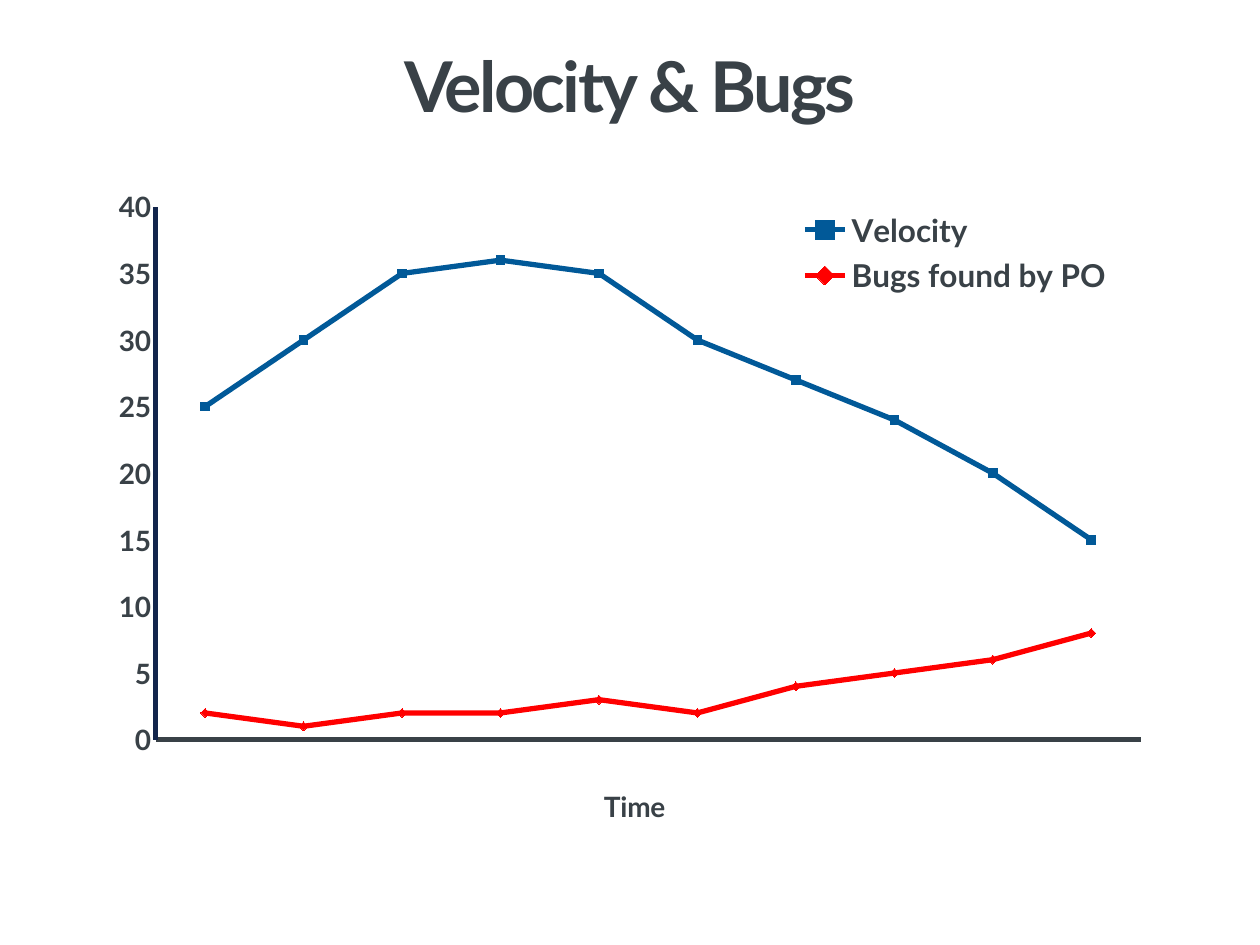
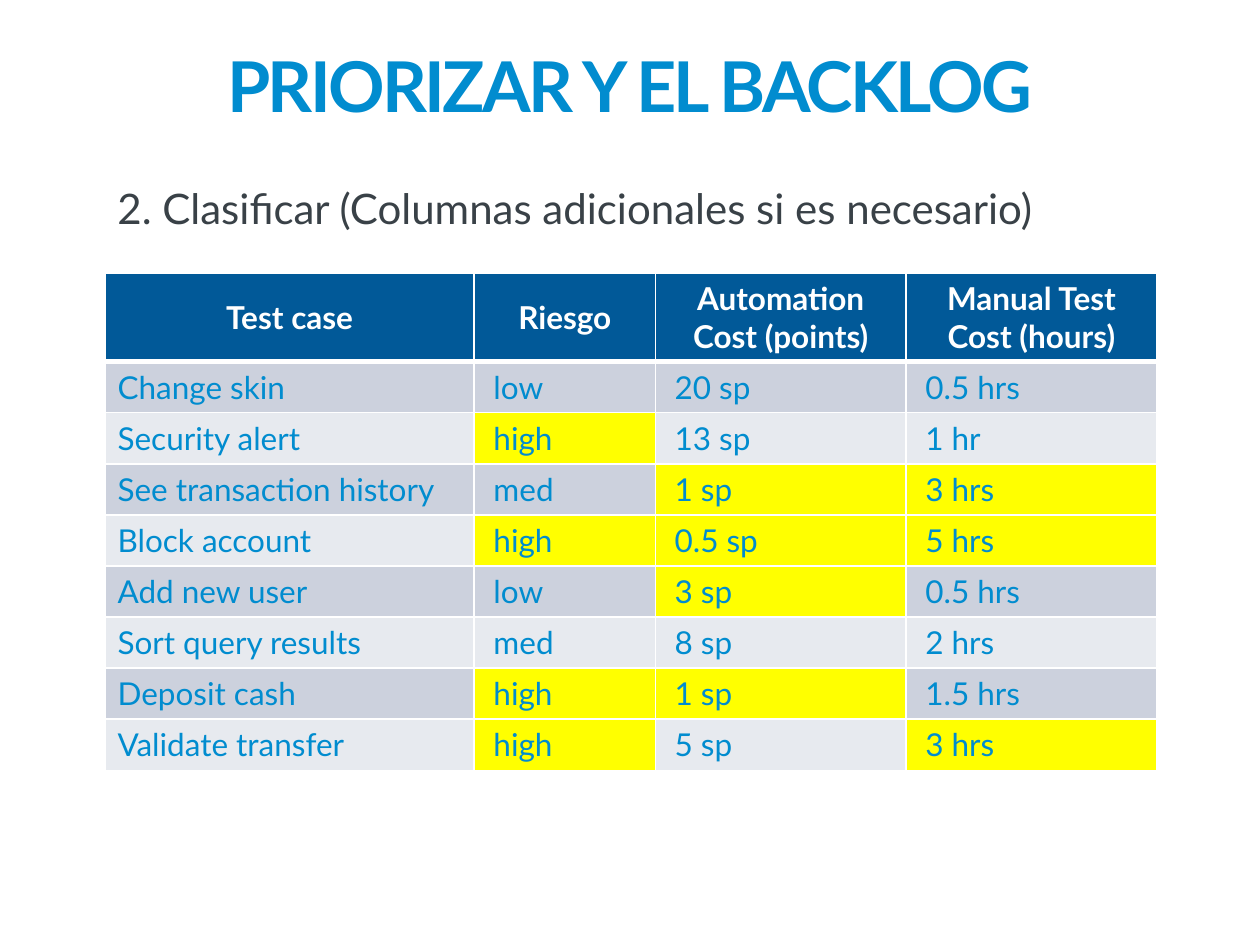
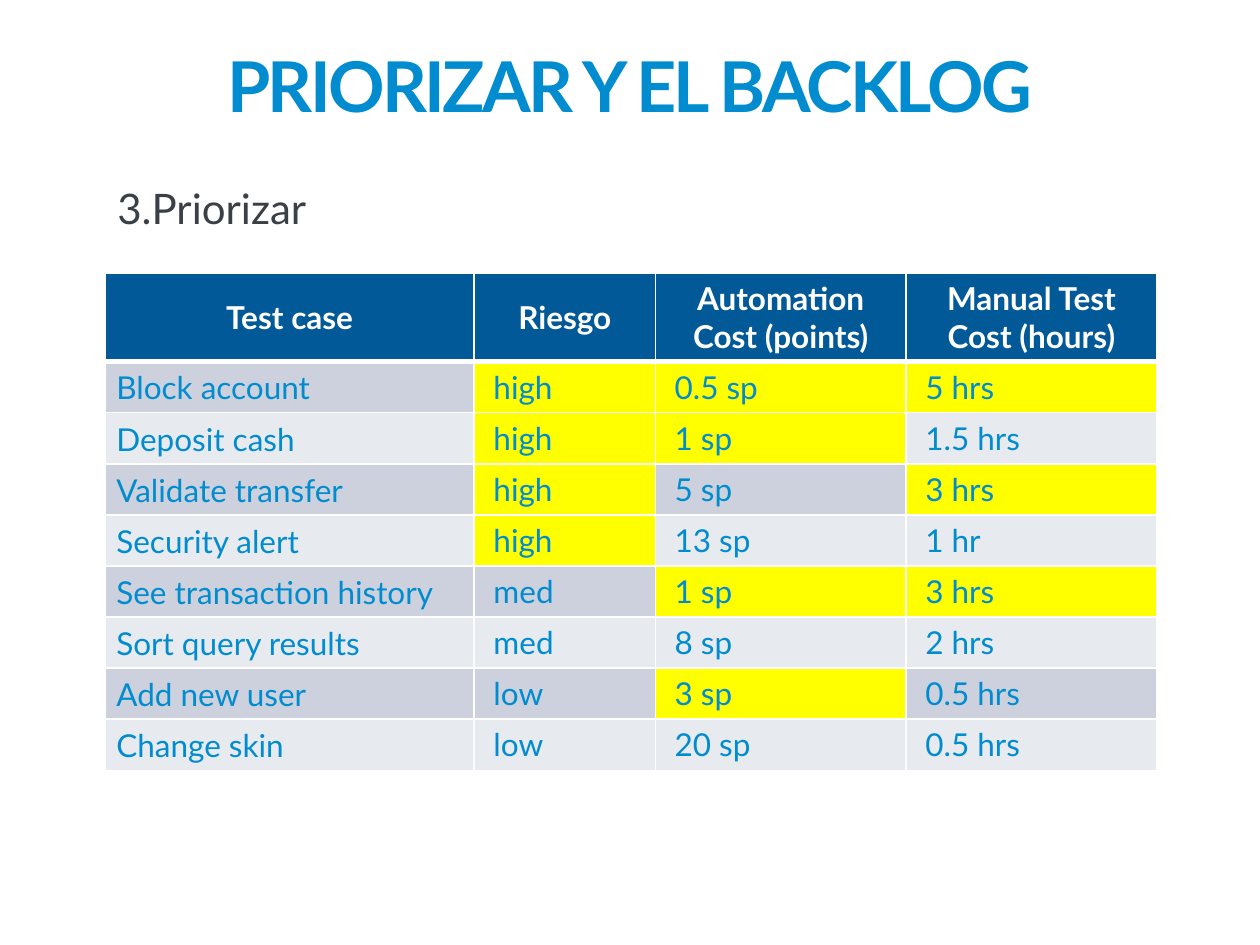
from lxml import etree
from pptx import Presentation
from pptx.chart.data import CategoryChartData
from pptx.dml.color import RGBColor
from pptx.enum import chart as charts, text
from pptx.oxml.ns import qn
from pptx.util import Pt

FONT = "Lato"
COLORS = {
    "slate": "394147", "sky": "018CCF", "blue": "015998", "navy": "12254C",
    "red": "FF0000", "white": "FFFFFF", "yellow": "FFFF00",
    "band_dark": "CCD1DD", "band_light": "E7EAEF",
}
BACKLOG_TITLE = "PRIORIZAR Y EL BACKLOG"
HEADERS = ["Test case", "Riesgo", "Automation Cost (points)", "Manual Test Cost (hours)"]
COLUMN_WIDTHS = [211, 103.5, 143.3, 143.3]
HEADER_HEIGHT, ROW_HEIGHT = 50, 29.2
HIGHLIGHT_RISK, MAX_POINTS, MIN_HOURS = "high", 3, 3

# test case: (risk, automation points, manual hours)
TEST_CASES = {
    "Change skin": ("low", 20, 0.5),
    "Security alert": ("high", 13, 1),
    "See transaction history": ("med", 1, 3),
    "Block account": ("high", 0.5, 5),
    "Add new user": ("low", 3, 0.5),
    "Sort query results": ("med", 8, 2),
    "Deposit cash": ("high", 1, 1.5),
    "Validate transfer": ("high", 5, 3),
}
PRIORITY_ORDER = [
    "Block account", "Deposit cash", "Validate transfer", "Security alert",
    "See transaction history", "Sort query results", "Add new user", "Change skin",
]
VELOCITY = [25, 30, 35, 36, 35, 30, 27, 24, 20, 15]
BUGS = [2, 1, 2, 2, 3, 2, 4, 5, 6, 8]


def rgb(color):
    return RGBColor.from_string(COLORS[color])


def set_attributes(target, **values):
    for name, value in values.items():
        setattr(target, name, value)


def format_font(font, size, color, bold=False):
    set_attributes(font, name=FONT, size=Pt(size), bold=bold)
    font.color.rgb = rgb(color)


def set_line(line, color, width):
    line.color.rgb = rgb(color)
    line.width = Pt(width)


def add_text(slide, content, box, size, color, bold=False, **paragraph_format):
    shape = slide.shapes.add_textbox(*map(Pt, box))
    frame = shape.text_frame
    frame.word_wrap = True
    paragraph = frame.paragraphs[0]
    run = paragraph.add_run()
    run.text = content
    format_font(run.font, size, color, bold)
    set_attributes(paragraph, **paragraph_format)
    return shape


def add_title(slide, content, color):
    shape = add_text(slide, content, (36, 24, 648, 48), 40, color, True,
                     alignment=text.PP_ALIGN.CENTER)
    frame = shape.text_frame
    frame.vertical_anchor = text.MSO_ANCHOR.MIDDLE
    frame.paragraphs[0].runs[0].font._element.set("spc", "-150")


def set_layout(parent, predecessor, **layout):
    """Place a chart part by fractions of the chart area."""
    for old in parent.findall(qn("c:layout")):
        parent.remove(old)
    anchor = parent.find(qn(predecessor)) if predecessor else None
    element = etree.Element(qn("c:layout"))
    parent.insert(0 if anchor is None else parent.index(anchor) + 1, element)
    manual = etree.SubElement(element, qn("c:manualLayout"))
    for name, value in layout.items():
        etree.SubElement(manual, qn(f"c:{name}")).set("val", str(value))


def format_axes(chart):
    time_axis, value_axis = chart.category_axis, chart.value_axis
    for axis, color in ((time_axis, "slate"), (value_axis, "navy")):
        set_attributes(axis, has_major_gridlines=False,
                       major_tick_mark=charts.XL_TICK_MARK.NONE,
                       minor_tick_mark=charts.XL_TICK_MARK.NONE)
        set_line(axis.format.line, color, 3)
    time_axis.tick_label_position = charts.XL_TICK_LABEL_POSITION.NONE
    title = time_axis.axis_title.text_frame
    title.text = "Time"
    format_font(title.paragraphs[0].runs[0].font, 16, "slate", True)
    set_attributes(value_axis, minimum_scale=0, maximum_scale=40, major_unit=5)
    format_font(value_axis.tick_labels.font, 16, "slate", True)


def add_velocity_chart(slide):
    data = CategoryChartData()
    data.categories = [str(number) for number in range(1, len(VELOCITY) + 1)]
    data.add_series("Velocity", VELOCITY)
    data.add_series("Bugs found by PO", BUGS)
    frame = slide.shapes.add_chart(charts.XL_CHART_TYPE.LINE_MARKERS,
                                   *map(Pt, (56.2, 100.8, 608.4, 378.7)), data)
    chart = frame.chart
    set_attributes(chart, has_title=False, has_legend=True)
    format_font(chart.font, 16, "slate")
    format_axes(chart)

    plot = chart.plots[0]
    plot.vary_by_categories = False
    markers = charts.XL_MARKER_STYLE
    styles = (("blue", markers.SQUARE), ("red", markers.DIAMOND))
    for series, (color, marker_style) in zip(plot.series, styles):
        series.smooth = False
        set_line(series.format.line, color, 3)
        set_attributes(series.marker, style=marker_style, size=5)
        series.marker.format.fill.solid()
        series.marker.format.fill.fore_color.rgb = rgb(color)
        series.marker.format.line.color.rgb = rgb(color)

    set_attributes(chart.legend, include_in_layout=True,
                   position=charts.XL_LEGEND_POSITION.RIGHT)
    format_font(chart.legend.font, 18, "slate", True)

    area, legend, title = (chart.element.xpath(f".//{tag}")[0] for tag in
                           ("c:plotArea", "c:legend", "c:catAx/c:title"))
    set_layout(area, None, layoutTarget="inner", xMode="edge", yMode="edge",
               x=0.054, y=0.046, w=0.925, h=0.804)
    set_layout(legend, "c:legendPos", xMode="edge", yMode="edge",
               x=0.655, y=0.04, w=0.3, h=0.15)
    set_layout(title, "c:tx", xMode="edge", yMode="edge", x=0.47, y=0.913)


def set_borders(cell, bottom_width):
    properties = cell._tc.get_or_add_tcPr()
    for side, width in (("L", 1), ("R", 1), ("T", 1), ("B", bottom_width)):
        line = etree.SubElement(properties, qn(f"a:ln{side}"), w=str(Pt(width)))
        fill = etree.SubElement(line, qn("a:solidFill"))
        etree.SubElement(fill, qn("a:srgbClr"), val=COLORS["white"])


def fill_cell(cell, content, fill, color, bold=False, border=1, align=None, margins=None):
    set_borders(cell, border)
    cell.fill.solid()
    cell.fill.fore_color.rgb = rgb(fill)
    cell.vertical_anchor = text.MSO_ANCHOR.MIDDLE
    for side, value in (margins or {}).items():
        setattr(cell, f"margin_{side}", Pt(value))
    paragraph = cell.text_frame.paragraphs[0]
    paragraph.alignment = align
    run = paragraph.add_run()
    run.text = content
    format_font(run.font, 18, color, bold)


def describe(case):
    """Return (text, highlighted) for each cell of a test case."""
    risk, points, hours = TEST_CASES[case]
    return [
        (case, False),
        (risk, risk == HIGHLIGHT_RISK),
        (f"{points} sp", points <= MAX_POINTS),
        (f"{hours} {'hr' if hours == 1 else 'hrs'}", hours >= MIN_HOURS),
    ]


def add_case_table(slide, cases, name_margins):
    height = HEADER_HEIGHT + ROW_HEIGHT * len(cases)
    frame = slide.shapes.add_table(len(cases) + 1, len(HEADERS), Pt(60), Pt(156.2),
                                   Pt(sum(COLUMN_WIDTHS)), Pt(height))
    table = frame.table
    for column, width in zip(table.columns, COLUMN_WIDTHS):
        column.width = Pt(width)
    for index, row in enumerate(table.rows):
        row.height = Pt(ROW_HEIGHT if index else HEADER_HEIGHT)

    for column, header in enumerate(HEADERS):
        fill_cell(table.cell(0, column), header, "blue", "white", True, 3,
                  text.PP_ALIGN.CENTER)
    for row, case in enumerate(cases, 1):
        band = "band_dark" if row % 2 else "band_light"
        for column, (content, highlighted) in enumerate(describe(case)):
            fill_cell(table.cell(row, column), content,
                      "yellow" if highlighted else band, "sky",
                      margins={"left": 11} if column else name_margins)


def add_backlog_slide(slide, step, step_width, cases, name_margins=None):
    add_case_table(slide, cases, name_margins)
    add_title(slide, BACKLOG_TITLE, "sky")
    add_text(slide, step, (60, 100.8, step_width, 36), 24, "slate")


def main():
    presentation = Presentation()
    set_attributes(presentation, slide_width=Pt(720), slide_height=Pt(540))
    blank = presentation.slide_layouts[6]
    velocity, classify, prioritize = (presentation.slides.add_slide(blank) for _ in range(3))

    add_title(velocity, "Velocity & Bugs", "slate")
    add_velocity_chart(velocity)
    add_backlog_slide(classify, "2. Clasificar (Columnas adicionales si es necesario)",
                      583, list(TEST_CASES))
    add_backlog_slide(prioritize, "3.Priorizar", 133, PRIORITY_ORDER,
                      {"left": 6.5, "top": 0.7, "right": 0.7, "bottom": 0})
    presentation.save("out.pptx")


if __name__ == "__main__":
    main()
